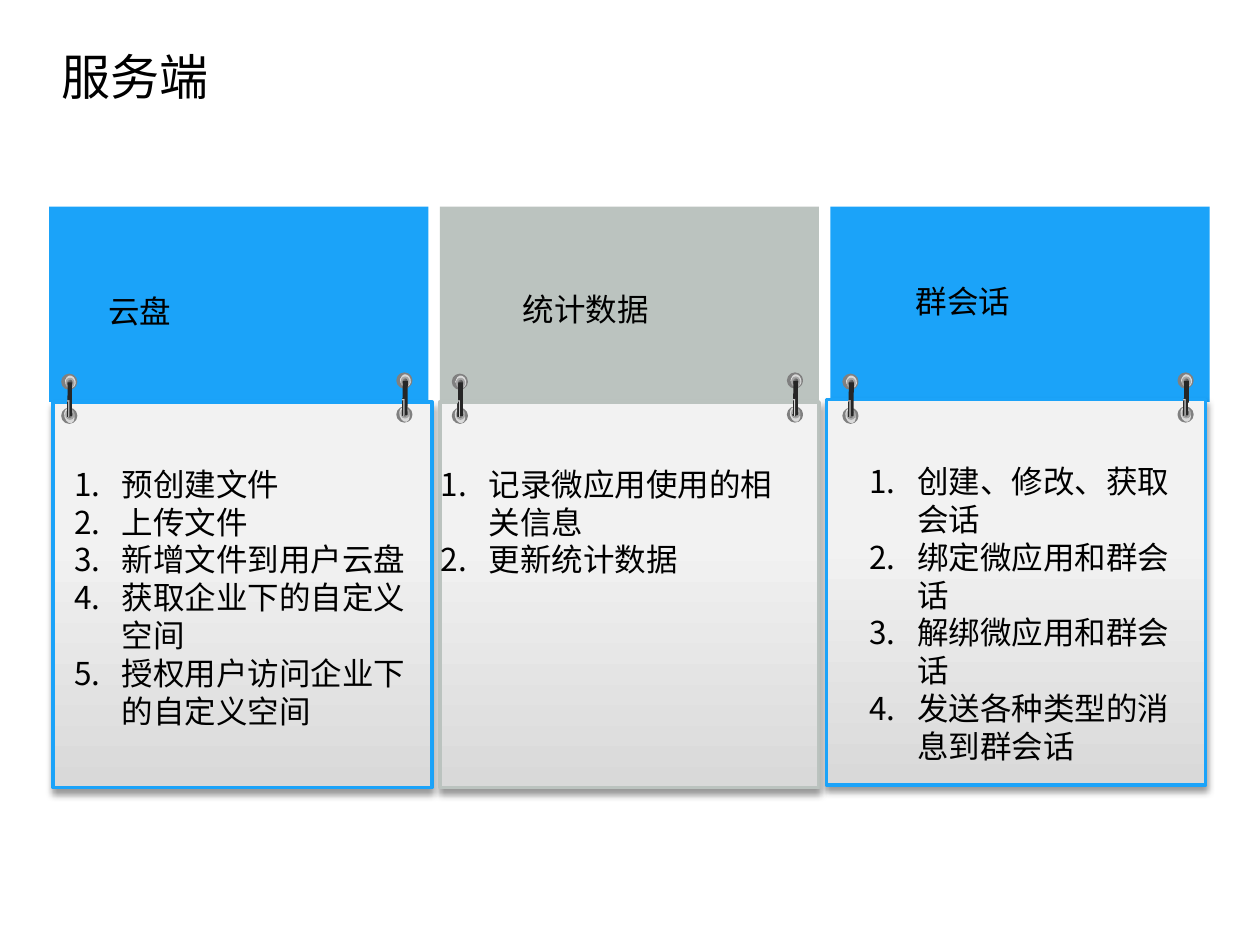
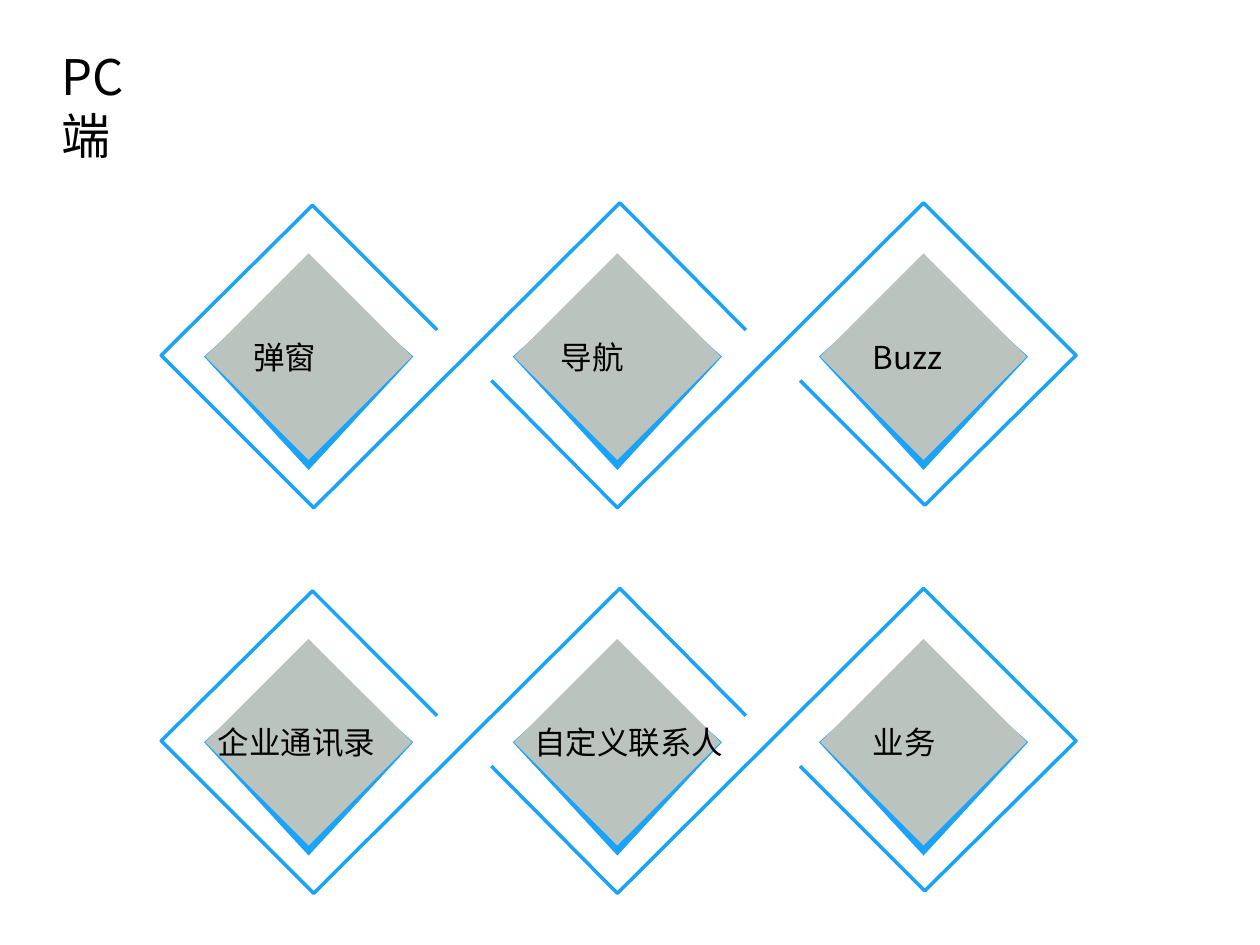
from dataclasses import dataclass

from lxml import etree
from pptx import Presentation
from pptx import util as u
from pptx.dml.color import RGBColor
from pptx.enum import shapes, text
from pptx.oxml.ns import qn

Inches = u.Inches
RECT = shapes.MSO_SHAPE.RECTANGLE
OVAL = shapes.MSO_SHAPE.OVAL


@dataclass(frozen=True)
class Theme:
    blue: str = "1BA3F9"
    sage: str = "BBC3BF"
    ink: str = "000000"
    white: str = "FFFFFF"
    ring_edge: str = "808080"
    ring_shade: str = "D9D9D9"
    hole_edge: str = "A6A6A6"
    paper: tuple = ((0, "D9D9D9"), (64, "F2F2F2"), (100, "F2F2F2"))
    hole: tuple = ((20, "808080"), (51, "595959"), (86, "A6A6A6"))
    steel: tuple = ((9, "262626"), (57, "D9D9D9"), (98, "262626"))
    font: str = "Noto Sans CJK SC"
    label_font: str = "Arial"
    title_size: int = 28
    body_size: int = 18
    leading: float = 1.2
    line: int = 2


def add_xml(parent, tag, **attributes):
    return etree.SubElement(parent, qn(tag), {k: str(v) for k, v in attributes.items()})


def add_color(parent, rgb):
    return add_xml(parent, "a:srgbClr", val=rgb)


class Deck:
    def __init__(self, theme):
        self.theme = theme
        self.prs = Presentation()
        self.prs.slide_width, self.prs.slide_height = Inches(10), Inches(7.5)
        self.slide = None

    def new_slide(self, title, width):
        self.slide = self.prs.slides.add_slide(self.prs.slide_layouts[5])
        heading = self.slide.shapes.title
        heading.left, heading.top = Inches(0.39), Inches(0.32)
        heading.width, heading.height = Inches(width), Inches(0.57)
        self.set_text(heading.text_frame, [title], self.theme.title_size)

    def set_text(self, frame, lines, size, numbered=False, font=None):
        frame.word_wrap = True
        frame.auto_size = text.MSO_AUTO_SIZE.NONE
        frame.vertical_anchor = text.MSO_ANCHOR.TOP
        for i, line in enumerate(lines):
            paragraph = frame.paragraphs[0] if i == 0 else frame.add_paragraph()
            paragraph.text = line
            paragraph.alignment = text.PP_ALIGN.LEFT
            paragraph.line_spacing = u.Pt(size * self.theme.leading)
            paragraph.font.size = u.Pt(size)
            paragraph.font.color.rgb = RGBColor.from_string(self.theme.ink)
            paragraph.font.name = font or self.theme.font
            properties = paragraph._p.pPr
            defaults = properties.find(qn("a:defRPr"))
            add_xml(defaults, "a:ea", typeface=self.theme.font)
            if numbered:
                properties.set("marL", str(Inches(0.38)))
                properties.set("indent", str(-Inches(0.38)))
                number = add_xml(properties, "a:buAutoNum", type="arabicPeriod")
                defaults.addprevious(number)

    def text_box(self, lines, left, top, width, height, **style):
        box = self.slide.shapes.add_textbox(*map(Inches, (left, top, width, height)))
        self.set_text(box.text_frame, lines, self.theme.body_size, **style)

    def label(self, words, left, top, **style):
        """One line of body text in a box just wide enough for it."""
        self.text_box([words], left, top, 0.25 * len(words) + 0.25, 0.4, **style)

    def paint(self, shape, fill=None, line=None, weight=None):
        shape.shadow.inherit = False
        if fill:
            shape.fill.solid()
            shape.fill.fore_color.rgb = RGBColor.from_string(fill)
        else:
            shape.fill.background()
        if line:
            shape.line.color.rgb = RGBColor.from_string(line)
            shape.line.width = u.Pt(weight or self.theme.line)
        else:
            shape.line.fill.background()

    def shape(self, kind, left, top, width, height, rotation=0, parent=None, **style):
        owner = parent or self.slide
        shape = owner.shapes.add_shape(kind, *map(Inches, (left, top, width, height)))
        shape.rotation = rotation
        self.paint(shape, **style)
        return shape

    def outline(self, points, closed, **style):
        (x, y), *rest = [(Inches(px), Inches(py)) for px, py in points]
        builder = self.slide.shapes.build_freeform(x, y)
        builder.add_line_segments(rest, close=closed)
        self.paint(builder.convert_to_shape(), **style)

    def gradient(self, shape, stops, angle=None, focus=None):
        """Linear at an angle, or a (kind, left, top, right, bottom) path gradient."""
        shape.fill.gradient()
        fill = shape.element.spPr.find(qn("a:gradFill"))
        for child in list(fill):
            fill.remove(child)
        stop_list = add_xml(fill, "a:gsLst")
        for position, rgb in stops:
            add_color(add_xml(stop_list, "a:gs", pos=position * 1000), rgb)
        if focus:
            kind, *sides = focus
            edges = {side: value * 1000 for side, value in zip("ltrb", sides)}
            add_xml(add_xml(fill, "a:path", path=kind), "a:fillToRect", **edges)
        else:
            add_xml(fill, "a:lin", ang=angle * 60000, scaled=0)

    def drop_shadow(self, shape):
        effects = shape.element.spPr.find(qn("a:effectLst"))
        shadow = add_xml(effects, "a:outerShdw", blurRad=u.Pt(4), dist=u.Pt(3),
                         dir=90 * 60000, algn="t", rotWithShape=0)
        add_xml(add_color(shadow, self.theme.ink), "a:alpha", val=40000)

    def binder_ring(self, x, y):
        """Two eyelets joined by a steel bar."""
        t = self.theme
        ring = self.slide.shapes.add_group_shape()
        for dy in (0, 0.27):
            self.shape(OVAL, x, y + dy, 0.1, 0.1, parent=ring,
                       fill=t.white, line=t.ring_edge)
        for dx, dy, width in ((-0.01, 0.28, 0.12), (0.01, 0.01, 0.1)):
            self.shape(OVAL, x + dx, y + dy, width, 0.08, 74.3, ring, fill=t.ring_shade)
        for dy in (0.28, 0.03):
            hole = self.shape(OVAL, x + 0.02, y + dy, 0.07, 0.06, 90.7, ring,
                              line=t.hole_edge, weight=1)
            self.gradient(hole, t.hole, focus=("circle", 100, 100, 0, 0))
        bar = self.shape(RECT, x - 0.08, y + 0.17, 0.27, 0.04, 90.7, ring)
        self.gradient(bar, t.steel, focus=("rect", 0, 100, 100, 0))

    def hanging_card(self, column, color, panel_top):
        header_left = 0.39 + 3.1 * column
        self.shape(RECT, header_left, 1.64, 3.01, 1.55, fill=color)
        panel = self.shape(RECT, 0.42 + 3.07 * column, panel_top, 3.01, 3.06, line=color)
        self.gradient(panel, self.theme.paper, angle=270)
        self.drop_shadow(panel)
        self.binder_ring(header_left + 0.11, 2.98)
        self.binder_ring(header_left + 2.77, 2.97)

    def diamond_row(self, dy, labels):
        """Three diamonds woven together by two zigzag lines."""
        t = self.theme
        centers = (2.45, 4.9, 7.33)
        middle = 2.83 + dy
        for cx in centers:
            self.outline([(cx - 0.83, middle), (cx, middle - 0.75),
                          (cx + 0.83, middle), (cx, middle + 0.9)], True, fill=t.blue)
        zigzag = [(5.92, 2.62), (4.92, 1.61), (2.49, 4.03),
                  (1.28, 2.82), (2.48, 1.63), (3.47, 2.62)]
        half_turn = [(9.82 - x, 5.64 - y) for x, y in zigzag]
        for points in (zigzag, half_turn):
            self.outline([(x, y + dy) for x, y in points], False, line=t.blue)
        for cx in centers:
            self.shape(RECT, cx - 0.58, middle - 0.58, 1.16, 1.16, 315, fill=t.sage)
        for words, left in labels:
            self.label(words, left, middle - 0.2)


def build_server_slide(deck):
    t = deck.theme
    deck.new_slide("服务端", 1.5)
    for column, (color, panel_top) in enumerate(
            ((t.blue, 3.19), (t.sage, 3.19), (t.blue, 3.17))):
        deck.hanging_card(column, color, panel_top)

    feature_lists = (
        ((0.49, 3.64, 2.96, 2.22), ["预创建文件", "上传文件", "新增文件到用户云盘",
                                    "获取企业下的自定义空间",
                                    "授权用户访问企业下的自定义空间"]),
        ((3.4, 3.64, 2.93, 1.62), ["记录微应用使用的相关信息", "更新统计数据"]),
        ((6.8, 3.62, 2.79, 3.13), ["创建、修改、获取会话", "绑定微应用和群会话",
                                   "解绑微应用和群会话",
                                   "发送各种类型的消息到群会话"]),
    )
    for place, features in feature_lists:
        deck.text_box(features, *place, numbered=True)
    deck.label("云盘", 0.76, 2.27, font=t.label_font)
    deck.label("统计数据", 4.05, 2.25)
    deck.label("群会话", 7.17, 2.19)


def build_pc_slide(deck):
    deck.new_slide("PC端", 1)
    rows = (
        (("弹窗", 1.91), ("导航", 4.35), ("Buzz", 6.83)),
        (("企业通讯录", 1.63), ("自定义联系人", 4.14), ("业务", 6.83)),
    )
    for row, labels in enumerate(rows):
        deck.diamond_row(3.06 * row, labels)


def main():
    deck = Deck(Theme())
    build_server_slide(deck)
    build_pc_slide(deck)
    deck.prs.save("out.pptx")


if __name__ == "__main__":
    main()
